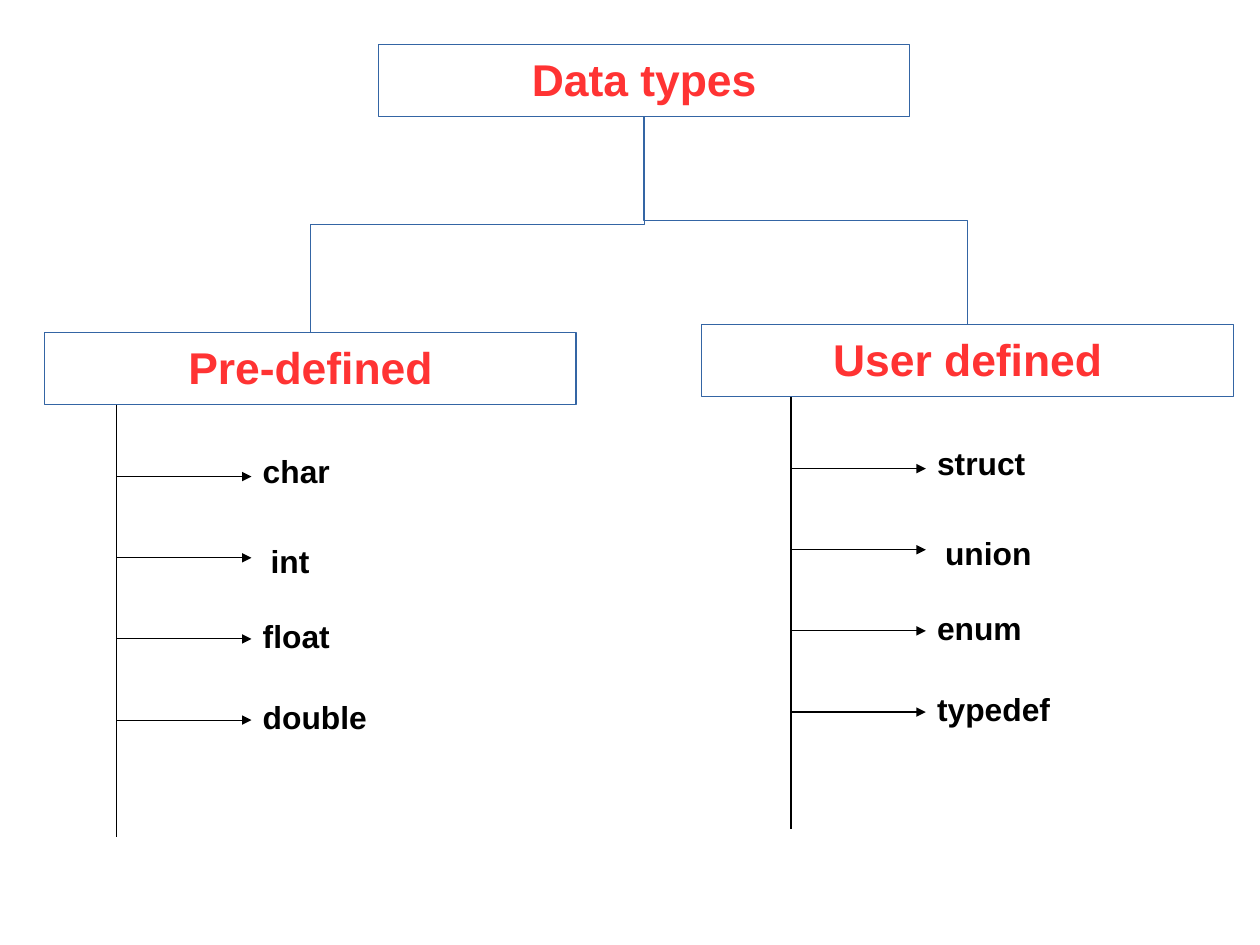
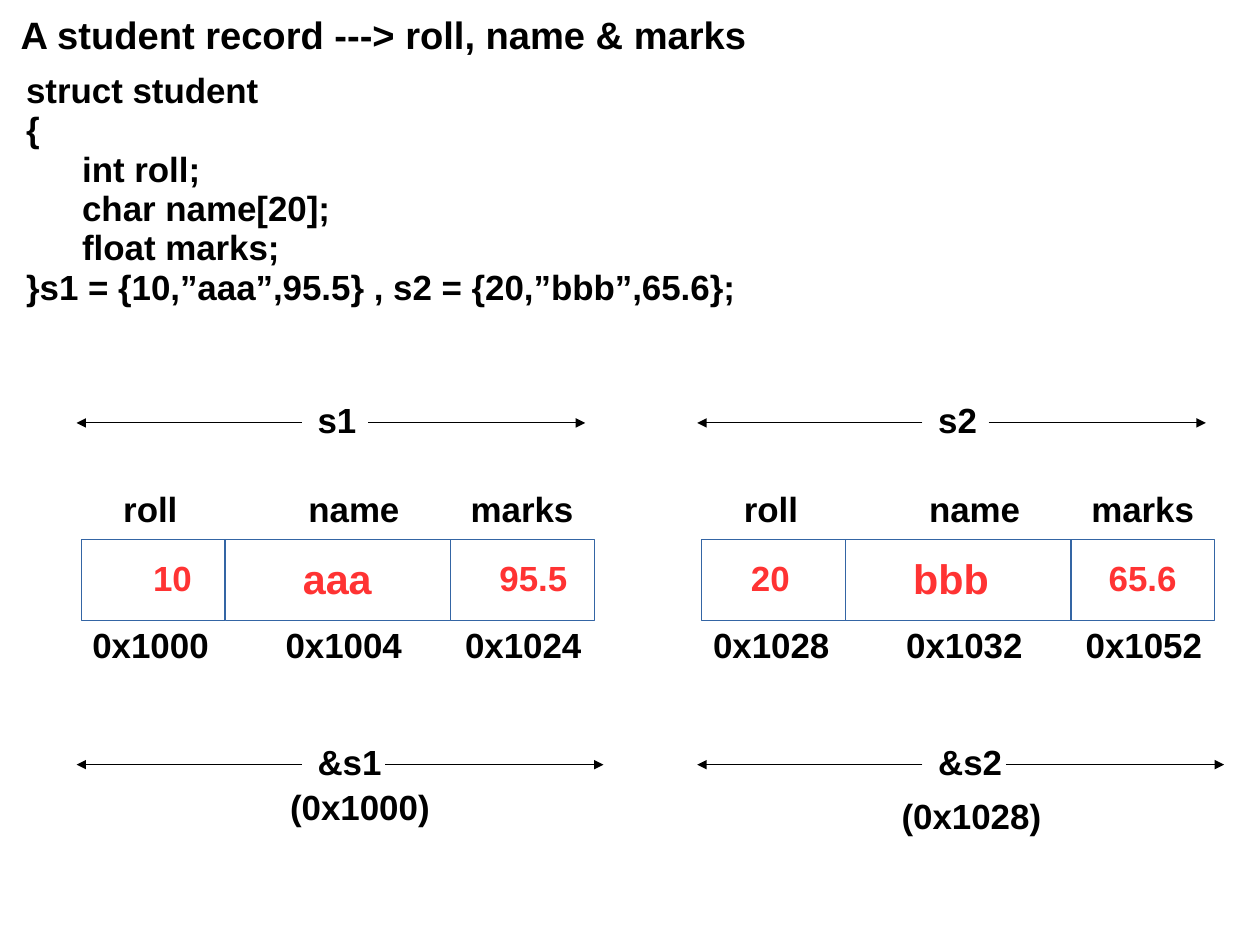
from lxml.etree import SubElement
from pptx import Presentation
from pptx.dml.color import RGBColor
from pptx.enum.shapes import MSO_CONNECTOR as CXN, MSO_SHAPE as SHAPE
from pptx.enum.text import MSO_ANCHOR as ANCHOR, MSO_AUTO_SIZE as FIT, PP_ALIGN as ALIGN
from pptx.oxml.ns import qn
from pptx.util import Cm, Pt

PX = 9144
FONT = "Arial"
RED = RGBColor(0xFF, 0x33, 0x33)
BLUE = RGBColor(0x34, 0x65, 0xA4)
BLACK = RGBColor(0, 0, 0)
WHITE = RGBColor(0xFF, 0xFF, 0xFF)


def write(sp, lines, size, color=BLACK, align=ALIGN.LEFT, anchor=ANCHOR.TOP,
          left=10, top=5, wrap=False, framed=False):
    if framed:
        sp.fill.solid()
        sp.fill.fore_color.rgb = WHITE
        sp.line.color.rgb = BLUE
        sp.line.width = Pt(0.75)
        sp.shadow.inherit = False
    tf = sp.text_frame
    tf.auto_size = FIT.NONE
    tf.word_wrap = wrap
    tf.vertical_anchor = anchor
    tf.margin_left, tf.margin_right = left * PX, 10 * PX
    tf.margin_top, tf.margin_bottom = top * PX, 5 * PX
    for i, text in enumerate(lines):
        p = tf.add_paragraph() if i else tf.paragraphs[0]
        p.alignment = align
        p.line_spacing = 0.94
        if text.startswith("\t"):
            tabs = SubElement(p._p.get_or_add_pPr(), qn("a:tabLst"))
            SubElement(tabs, qn("a:tab"), pos=str(49 * PX), algn="l")
        r = p.add_run()
        r.text = text
        r.font.name = FONT
        r.font.size = Pt(size)
        r.font.bold = True
        r.font.color.rgb = color


def connect(s, x1, y1, x2, y2, color=BLACK, arrow=False, kind=CXN.STRAIGHT):
    c = s.shapes.add_connector(kind, x1 * PX, y1 * PX, x2 * PX, y2 * PX)
    c.line.color.rgb = color
    c.line.width = Pt(0.75)
    if arrow:
        SubElement(c.line._get_or_add_ln(), qn("a:tailEnd"), type="triangle")
    SubElement(c._element.spPr, qn("a:effectLst"))
    return c


prs = Presentation()
prs.slide_width, prs.slide_height = Cm(28), Cm(21)
title_only = prs.slide_layouts[5]

s = prs.slides.add_slide(title_only)
title = s.shapes.title
title.left, title.top, title.width, title.height = 331 * PX, 39 * PX, 465 * PX, 63 * PX
write(title, ["Data types"], 28, RED, ALIGN.CENTER, ANCHOR.MIDDLE, top=7, framed=True)

branches = [
    ("Pre-defined", 39, 291, 102, ["char", "int", "float", "double"], [79, 54, 79, 111]),
    ("User defined", 614, 284, 692, ["struct", "union", "enum", "typedef"], [97, 98, 94, 119]),
]
for name, x, y, spine, types, widths in branches:
    box = s.shapes.add_shape(SHAPE.RECTANGLE, x * PX, y * PX, 465 * PX, 63 * PX)
    write(box, [name], 28, RED, ALIGN.CENTER, ANCHOR.MIDDLE, top=7, framed=True)

    c = connect(s, 563, 102, x + 232, y, BLUE, kind=CXN.ELBOW)
    c.begin_connect(title, 2)
    c.end_connect(box, 0)
    x1, y1, x2, y2 = c.begin_x, c.begin_y, c.end_x, c.end_y
    c.width, c.height = y2 - y1, abs(x2 - x1)
    c.left, c.top = (x1 + x2 - c.width) // 2, (y1 + y2 - c.height) // 2
    xfrm = c._element.spPr.xfrm
    xfrm.set("rot", "5400000" if x2 < x1 else "16200000")
    xfrm.set("flipH", "0" if x2 < x1 else "1")

    bottom = y + 63
    connect(s, spine, bottom, spine, bottom + 378)
    for i, (text, w, dx, dy) in enumerate(zip(types, widths, [0, 7, 0, 0], [37, 116, 181, 252])):
        arrow_y = bottom + 63 + 71 * i
        connect(s, spine, arrow_y, spine + 118, arrow_y, arrow=True)
        label = s.shapes.add_textbox((spine + 118 + dx) * PX, (bottom + dy) * PX, w * PX, 41 * PX)
        write(label, [text], 20, top=7)

s = prs.slides.add_slide(title_only)
title = s.shapes.title
title.left, title.top, title.width, title.height = 8 * PX, 8 * PX, 665 * PX, 50 * PX
write(title, ["A student record ---> roll, name & marks"], 24)

code = s.shapes.add_textbox(13 * PX, 58 * PX, 642 * PX, 219 * PX)
write(code, [
    "struct student",
    "{",
    "\tint roll;",
    "\tchar name[20];",
    "\tfloat marks;",
    "}s1 = {10,”aaa”,95.5} , s2 = {20,”bbb”,65.6};",
], 22)

fields = [
    ("roll", 71, 126, 98, 67, 71, 22),
    ("name", 197, 197, 260, 100, 240, 26),
    ("marks", 394, 126, 402, 110, 397, 22),
]
records = [
    ("s1", 0, ["10", "aaa", "95.5"], [63, 68, 43], ["0x1000", "0x1004", "0x1024"], 244, 685),
    ("s2", 543, ["20", "bbb", "65.6"], [43, 59, 33], ["0x1028", "0x1032", "0x1052"], 779, 693),
]
for name, dx, values, indents, addresses, base_x, base_y in records:
    for field, value, indent, address in zip(fields, values, indents, addresses):
        head, x, w, head_x, head_w, address_x, size = field
        cell = s.shapes.add_shape(SHAPE.RECTANGLE, (x + dx) * PX, 472 * PX, w * PX, 71 * PX)
        write(cell, [value], size, RED, anchor=ANCHOR.MIDDLE, left=indent, wrap=True, framed=True)
        label = s.shapes.add_textbox((head_x + dx) * PX, 425 * PX, head_w * PX, 47 * PX)
        write(label, [head], 22)
        label = s.shapes.add_textbox((address_x + dx) * PX, 544 * PX, 122 * PX, 46 * PX)
        write(label, [address], 22)

    for text, y, w, start, end in [(name, 347, 54, 322, 512), ("&" + name, 646, 76, 337, 528)]:
        label = s.shapes.add_textbox((268 + dx) * PX, y * PX, w * PX, 46 * PX)
        write(label, [text], 22)
        connect(s, 264 + dx, y + 23, 67 + dx, y + 23, arrow=True)
        c = connect(s, start + dx, y + 23, end + dx, y + 23, arrow=True)
        if start == 268 + w:
            c.begin_connect(label, 3)

    label = s.shapes.add_textbox(base_x * PX, base_y * PX, 142 * PX, 47 * PX)
    write(label, [f"({addresses[0]})"], 22)

prs.save("out.pptx")
